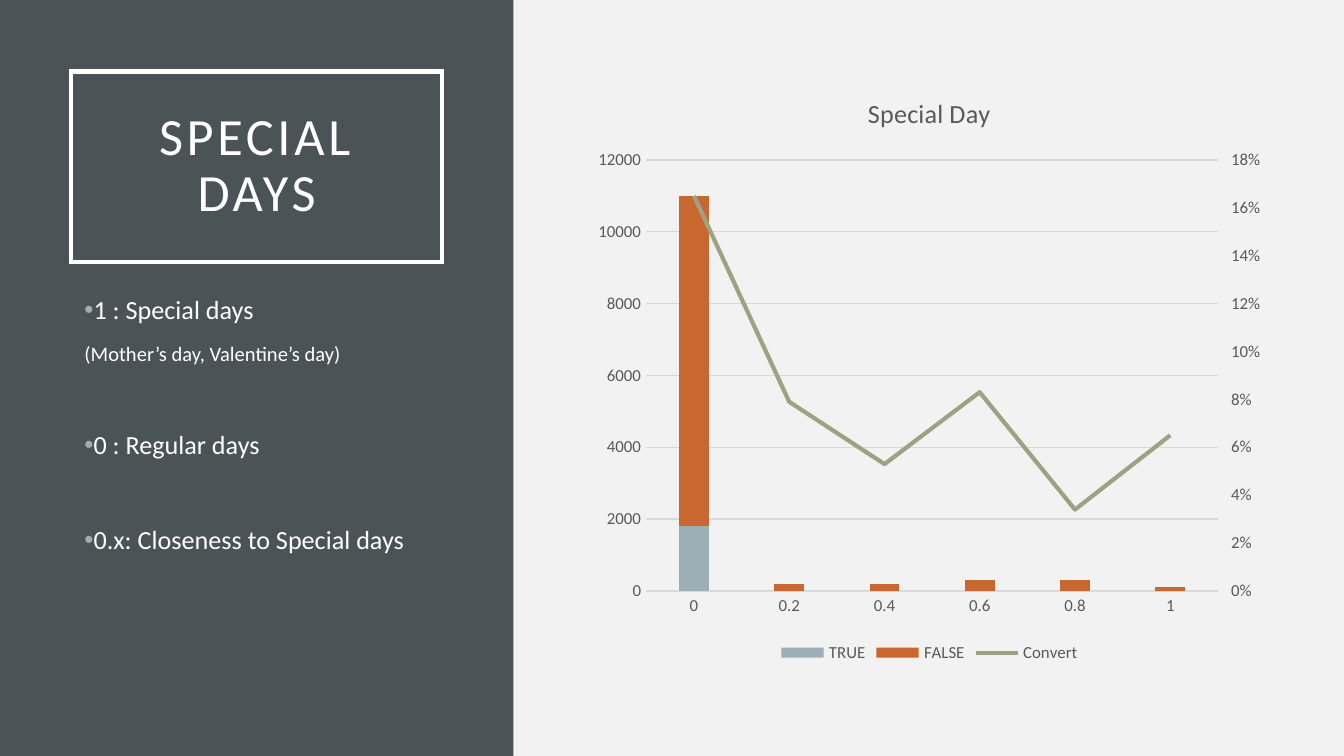
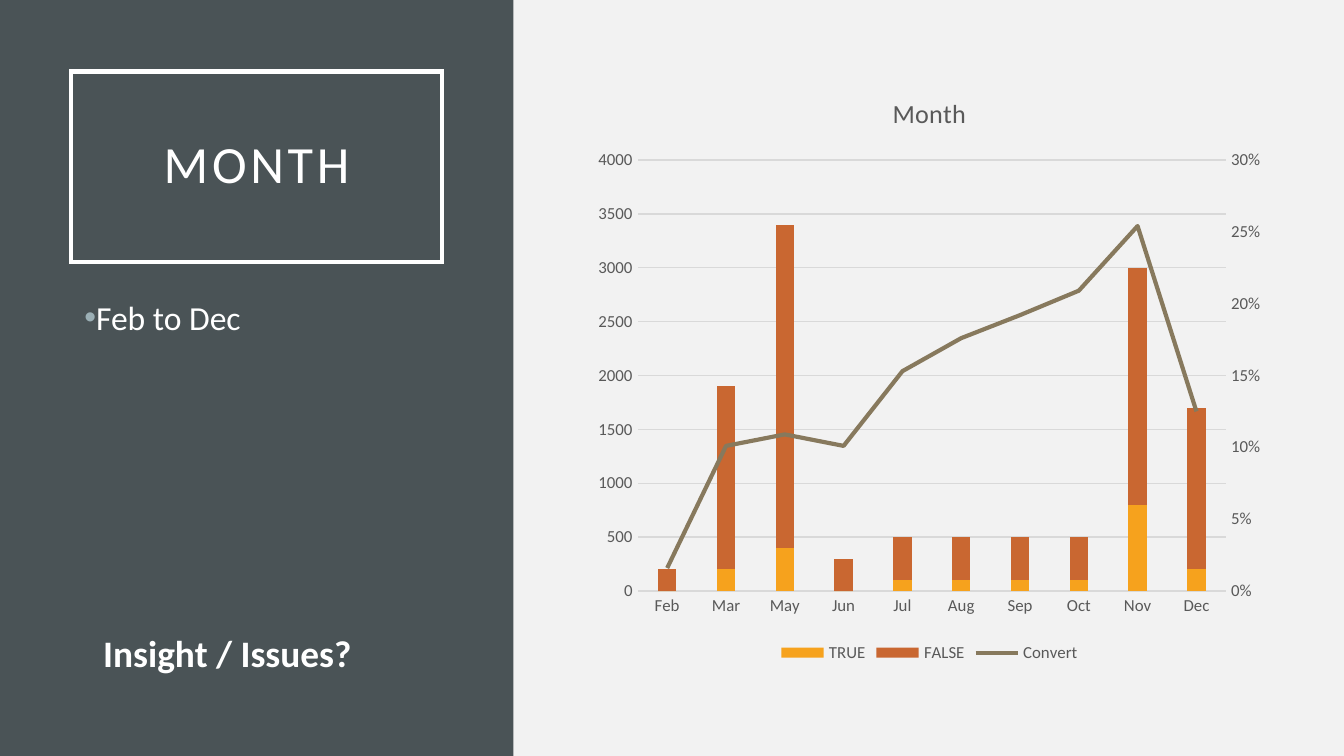
import pptx
import pptx.util
import pptx.chart.axis
import pptx.chart.data
import pptx.dml.color
import pptx.enum.chart
import pptx.enum.shapes
import pptx.enum.text
import pptx.oxml
import pptx.oxml.ns

Inches = pptx.util.Inches
Pt = pptx.util.Pt
RGB = pptx.dml.color.RGBColor
TICK = pptx.enum.chart.XL_TICK_MARK

WIDE = Inches(10)
HIGH = WIDE * 9 // 16
FONT = "Calibri"
WHITE = RGB(255, 255, 255)
PAPER = RGB(0xF2, 0xF2, 0xF2)
SLATE = RGB(0x4A, 0x53, 0x56)
GREY = RGB(0x59, 0x59, 0x59)
RULE = RGB(0xD9, 0xD9, 0xD9)
MIST = RGB(0x9B, 0xAF, 0xB5)
RUST = RGB(0xC9, 0x67, 0x31)
SAGE = RGB(0x9C, 0xA3, 0x83)
GOLD = RGB(0xF6, 0xA2, 0x1D)
OLIVE = RGB(0x87, 0x79, 0x5D)

PAGES = [
    {
        "title": "SPECIAL DAYS",
        "points": [
            ("1 : Special days", dict(size=14, bullet=True, before=10, lead=0.9)),
            ("(Mother’s day, Valentine’s day)", dict(size=11, before=10, lead=0.9)),
            ("0 : Regular days", dict(size=14, bullet=True, before=35.5, lead=0.9)),
            ("0.x: Closeness to Special days", dict(size=14, bullet=True, before=35.5, lead=0.9)),
        ],
        "width": 2.89,
        "chart": "Special Day",
        "cats": ["0", "0.2", "0.4", "0.6", "0.8", "1"],
        "series": [
            ("TRUE", MIST, [1800, 0, 0, 0, 0, 0]),
            ("FALSE", RUST, [9200, 200, 200, 300, 300, 100]),
            ("Convert", SAGE, [0.165, 0.079, 0.053, 0.083, 0.034, 0.065]),
        ],
        "left": (12000, 2000),
        "right": (0.18, 0.02),
        "tick": TICK.OUTSIDE,
    },
    {
        "title": "MONTH",
        "points": [("Feb to Dec", dict(size=18, bullet=True, before=10))],
        "width": 2.76,
        "note": "Insight / Issues?",
        "chart": "Month",
        "cats": ["Feb", "Mar", "May", "Jun", "Jul", "Aug", "Sep", "Oct", "Nov", "Dec"],
        "series": [
            ("TRUE", GOLD, [0, 200, 400, 0, 100, 100, 100, 100, 800, 200]),
            ("FALSE", RUST, [200, 1700, 3000, 300, 400, 400, 400, 400, 2200, 1500]),
            ("Convert", OLIVE, [0.016, 0.101, 0.109, 0.101, 0.153, 0.176, 0.192, 0.209, 0.254, 0.125]),
        ],
        "left": (4000, 500),
        "right": (0.3, 0.05),
        "tick": TICK.NONE,
    },
]

NS = pptx.oxml.ns.nsdecls("c", "a")
LINE = f"""<c:lineChart {NS}><c:grouping val="standard"/><c:varyColors val="0"/>
<c:marker val="1"/><c:axId val="501"/><c:axId val="502"/></c:lineChart>"""
BASE = f"""<c:catAx {NS}><c:axId val="501"/>
<c:scaling><c:orientation val="minMax"/></c:scaling><c:delete val="1"/>
<c:axPos val="b"/><c:crossAx val="502"/><c:crosses val="autoZero"/></c:catAx>"""
SIDE = f"""<c:valAx {NS}><c:axId val="502"/>
<c:scaling><c:orientation val="minMax"/></c:scaling><c:delete val="0"/>
<c:axPos val="r"/><c:numFmt formatCode="0%" sourceLinked="0"/>
<c:tickLblPos val="nextTo"/><c:crossAx val="501"/><c:crosses val="max"/>
<c:crossBetween val="between"/></c:valAx>"""
CLEAR = f"<c:spPr {NS}><a:noFill/><a:ln><a:noFill/></a:ln></c:spPr>"


def make(xml):
    return pptx.oxml.parse_xml(xml)


def style(font, size, color, bold=None):
    font.name = FONT
    font.size = Pt(size)
    font.color.rgb = color
    font.bold = bold


def write(para, text, size=14, color=WHITE, bold=None, align=None,
          before=None, lead=None, bullet=False, track=0):
    run = para.add_run()
    run.text = text
    style(run.font, size, color, bold)
    if track:
        run._r.get_or_add_rPr().set("spc", str(track * 100))
    para.alignment = align
    if lead:
        para.line_spacing = lead
    if before:
        para.space_before = Pt(before)
    if bullet:
        props = para._p.get_or_add_pPr()
        props.set("marL", "0")
        props.set("indent", str(-Inches(0.25)))
        tone = f'<a:buClr {NS}><a:srgbClr val="{MIST}"/></a:buClr>'
        props.append(make(tone))
        props.append(make(f'<a:buFont {NS} typeface="Arial"/>'))
        props.append(make(f'<a:buChar {NS} char="•"/>'))


def add_box(slide, left, top, width, height, fill=None, line=None):
    box = slide.shapes.add_shape(
        pptx.enum.shapes.MSO_SHAPE.RECTANGLE, left, top, width, height)
    box.shadow.inherit = False
    if fill is None:
        box.fill.background()
    else:
        box.fill.solid()
        box.fill.fore_color.rgb = fill
    if line is None:
        box.line.fill.background()
    else:
        box.line.color.rgb = line
        box.line.width = Pt(2.5)
        box.line._get_or_add_ln().append(make(f'<a:miter {NS} lim="800000"/>'))
    return box


def add_text(slide, left, top, width, height, items):
    frame = slide.shapes.add_textbox(
        Inches(left), Inches(top), Inches(width), Inches(height)).text_frame
    frame.word_wrap = True
    for i, (text, form) in enumerate(items):
        para = frame.add_paragraph() if i else frame.paragraphs[0]
        write(para, text, **form)


def add_frame(slide, title):
    back = slide.background.fill
    back.solid()
    back.fore_color.rgb = PAPER
    add_box(slide, 0, 0, Inches(3.82), HIGH, fill=SLATE)
    frame = add_box(slide, Inches(0.53), Inches(0.53), Inches(2.76),
                    Inches(1.42), line=WHITE).text_frame
    frame.word_wrap = True
    frame.vertical_anchor = pptx.enum.text.MSO_ANCHOR.MIDDLE
    frame.margin_left = frame.margin_right = Inches(0.2)
    frame.margin_top = frame.margin_bottom = Inches(0.2)
    write(frame.paragraphs[0], title, size=28, lead=0.9, track=2,
          align=pptx.enum.text.PP_ALIGN.CENTER)


def style_axis(axis, scale=None, tick=TICK.NONE):
    axis.major_tick_mark = tick
    axis.minor_tick_mark = TICK.NONE
    style(axis.tick_labels.font, 9, GREY)
    if scale:
        axis.minimum_scale = 0
        axis.maximum_scale, axis.major_unit = scale
        axis.format.line.fill.background()
    else:
        axis.format.line.color.rgb = RULE
        axis.format.line.width = Pt(0.75)


def add_line(chart, row, scale, tick):
    bars = chart._chartSpace.xpath(".//c:barChart")[0]
    for old in row.xpath("c:invertIfNegative"):
        row.remove(old)
    row.xpath("c:spPr")[0].addnext(
        make(f'<c:marker {NS}><c:symbol val="none"/></c:marker>'))
    row.append(make(f'<c:smooth {NS} val="0"/>'))
    line = make(LINE)
    line.insert(2, row)
    bars.addnext(line)
    side = make(SIDE)
    last = chart.value_axis._element
    last.addnext(side)
    last.addnext(make(BASE))
    style_axis(pptx.chart.axis.ValueAxis(side), scale, tick)


def add_chart(slide, page):
    data = pptx.chart.data.CategoryChartData()
    data.categories = page["cats"]
    for name, color, vals in page["series"]:
        data.add_series(name, vals, "0%" if name == "Convert" else "General")
    chart = slide.shapes.add_chart(
        pptx.enum.chart.XL_CHART_TYPE.COLUMN_STACKED,
        Inches(4.35), Inches(0.53), Inches(5.13), Inches(4.44), data).chart
    style(chart.font, 10, RGB(0, 0, 0))
    chart.has_title = True
    write(chart.chart_title.text_frame.paragraphs[0], page["chart"],
          size=14, color=GREY, bold=False)
    chart.chart_title.include_in_layout = False
    chart.has_legend = True
    chart.legend.position = pptx.enum.chart.XL_LEGEND_POSITION.BOTTOM
    chart.legend.include_in_layout = False
    style(chart.legend.font, 9, GREY)
    style_axis(chart.category_axis)
    style_axis(chart.value_axis, page["left"])
    grid = chart.value_axis.major_gridlines.format.line
    grid.color.rgb = RULE
    grid.width = Pt(0.75)
    plot = chart.plots[0]
    plot.gap_width = 219
    plot.overlap = 100
    plot.vary_by_categories = False
    *stack, trend = plot.series
    for bar, (name, color, vals) in zip(stack, page["series"]):
        bar.format.fill.solid()
        bar.format.fill.fore_color.rgb = color
    trend.format.line.color.rgb = page["series"][-1][1]
    trend.format.line.width = Pt(2.25)
    add_line(chart, trend._element, page["right"], page["tick"])
    chart._chartSpace.xpath("c:chart")[0].addnext(make(CLEAR))
    chart._chartSpace.xpath(".//c:plotArea")[0].append(make(CLEAR))


def main():
    deck = pptx.Presentation()
    deck.slide_width = WIDE
    deck.slide_height = HIGH
    for page in PAGES:
        slide = deck.slides.add_slide(deck.slide_layouts[6])
        add_frame(slide, page["title"])
        add_text(slide, 0.53, 2.16, page["width"], 2.8, page["points"])
        add_chart(slide, page)
        if "note" in page:
            add_text(slide, 0.67, 4.64, 2.76, 0.44,
                     [(page["note"], dict(size=20, bold=True))])
    deck.save("out.pptx")


if __name__ == "__main__":
    main()
